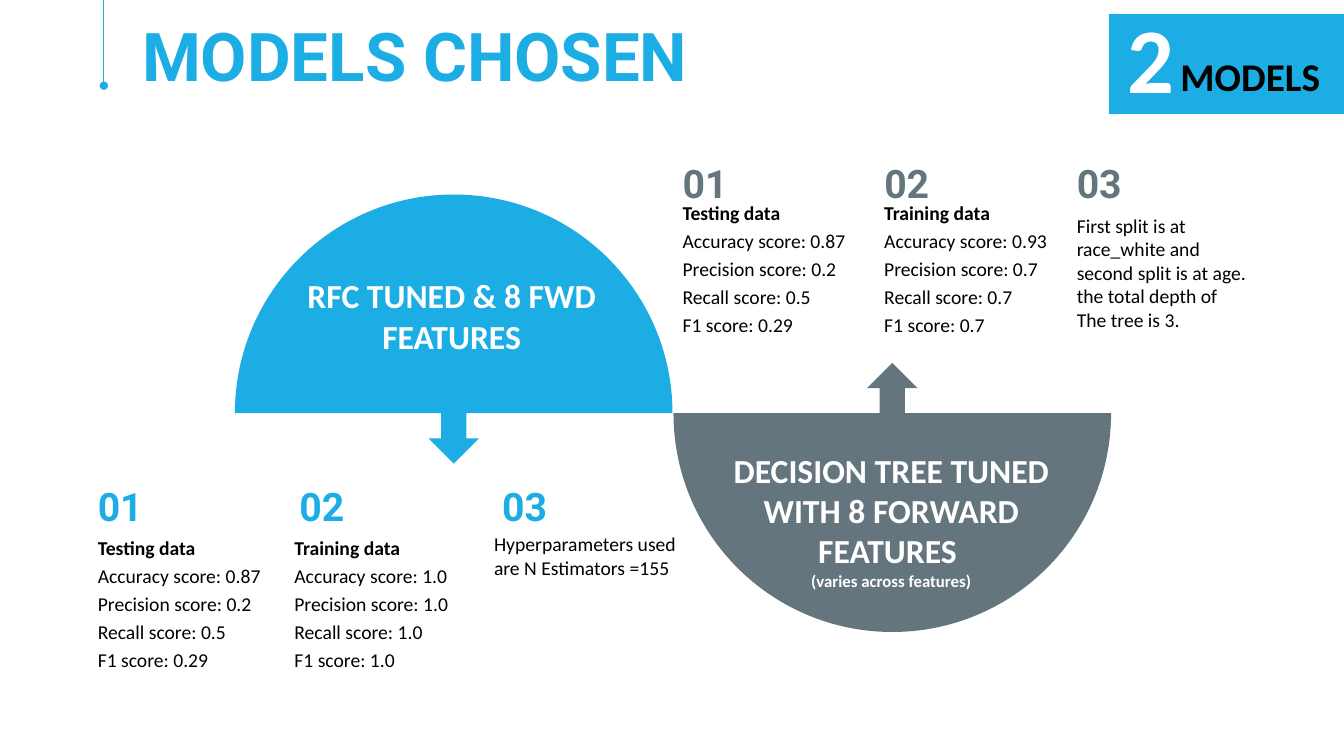
import pptx
import pptx.util
from lxml import etree
from pptx.dml.color import RGBColor
from pptx.enum.shapes import MSO_CONNECTOR, MSO_SHAPE
from pptx.enum.text import MSO_ANCHOR, MSO_AUTO_SIZE, PP_ALIGN
from pptx.oxml.ns import qn
from pptx.util import Inches

COLORS = {"blue": "1CADE4", "gray": "65757D", "white": "FFFFFF", "black": "000000"}

deck = pptx.Presentation()
deck.slide_width = Inches(13.33)
deck.slide_height = Inches(7.5)
slide = deck.slides.add_slide(deck.slide_layouts[6])


def add_text(text, left, top, width, height, size=14, color="black", font="Calibri",
             bold=False, align=PP_ALIGN.LEFT, anchor=MSO_ANCHOR.TOP, inset=True,
             spacing=None, after=None):
    """Add a text box with one paragraph per line of text; return its paragraphs."""
    box = slide.shapes.add_textbox(Inches(left), Inches(top), Inches(width), Inches(height))
    frame = box.text_frame
    frame.word_wrap = True
    frame.auto_size = MSO_AUTO_SIZE.SHAPE_TO_FIT_TEXT
    frame.vertical_anchor = anchor
    if not inset:
        frame.margin_left = frame.margin_right = frame.margin_top = frame.margin_bottom = 0
    frame.text = text
    for paragraph in frame.paragraphs:
        paragraph.alignment = align
        paragraph.line_spacing = spacing
        paragraph.space_after = after
        for run in paragraph.runs:
            run.font.size = pptx.util.Pt(size)
            run.font.name = font
            run.font.bold = bold
            run.font.color.rgb = RGBColor.from_string(COLORS[color])
    return frame.paragraphs


def paint(shape, color):
    shape.shadow.inherit = False
    shape.fill.solid()
    shape.fill.fore_color.rgb = RGBColor.from_string(COLORS[color])
    shape.line.fill.background()


# Half discs sharing a baseline, each with an arrow towards its results
BASELINE, RADIUS, ARROW = 4.1, 2.17, 0.5
HANDLE = 0.5523  # Bezier handle of a quarter circle with radius 1
QUARTERS = [(1, HANDLE), (HANDLE, 1), (0, 1), (-HANDLE, 1), (-1, HANDLE), (-1, 0)]
for center, direction, color in [(8.85, 1, "gray"), (4.5, -1, "blue")]:
    curve = [(Inches(center + RADIUS * x), Inches(BASELINE + direction * RADIUS * y))
             for x, y in QUARTERS]
    outline = slide.shapes.build_freeform(Inches(center + RADIUS), Inches(BASELINE))
    outline.add_line_segments(curve, close=True)
    half_disc = outline.convert_to_shape()
    # Every three segments become one cubic curve
    segments = list(half_disc._element.iter(qn("a:lnTo")))
    for first in (0, 3):
        quarter = etree.Element(qn("a:cubicBezTo"))
        segments[first].addprevious(quarter)
        for segment in segments[first:first + 3]:
            quarter.append(segment[0])
            segment.getparent().remove(segment)
    paint(half_disc, color)

    arrow_top = BASELINE if direction < 0 else BASELINE - ARROW
    arrow = slide.shapes.add_shape(MSO_SHAPE.DOWN_ARROW, Inches(center - ARROW / 2),
                                   Inches(arrow_top), Inches(ARROW), Inches(ARROW))
    arrow.rotation = 180 if direction > 0 else 0
    paint(arrow, color)

disc_label = {"size": 24, "color": "white", "bold": True, "align": PP_ALIGN.CENTER}
add_text("RFC TUNED & 8 FWD FEATURES", 2.63, 2.68, 3.7, 0.91, **disc_label)
tree_label = add_text("DECISION TREE TUNED WITH 8 FORWARD FEATURES \n(varies across features)",
                      6.99, 4.41, 3.7, 1.51, **disc_label)
tree_label[1].runs[0].font.size = pptx.util.Pt(12)

# Column numbers above the results
body = {"inset": False, "after": pptx.util.Pt(12)}
for top, color, lefts in [(1.58, "gray", (6.77, 8.77, 10.68)),
                          (4.78, "blue", (0.97, 2.97, 4.98))]:
    for number, left in enumerate(lefts, 1):
        add_text(f"{number:02}", left, top, 1.59, 0.47, size=28, color=color,
                 font="Roboto", bold=True, anchor=MSO_ANCHOR.MIDDLE, **body)

# Scores
METRICS = ("Accuracy", "Precision", "Recall", "F1")
for left, top, data, scores in [
    (6.77, 2.12, "Testing data", ("0.87", "0.2", "0.5", "0.29")),
    (8.77, 2.12, "Training data", ("0.93", "0.7", "0.7", "0.7")),
    (0.97, 5.44, "Testing data", ("0.87", "0.2", "0.5", "0.29")),
    (2.92, 5.44, "Training data", ("1.0", "1.0", "1.0", "1.0")),
]:
    lines = [data] + [f"{metric} score: {score}" for metric, score in zip(METRICS, scores)]
    score_lines = add_text("\n".join(lines), left, top, 1.7, 1.25,
                           spacing=pptx.util.Pt(8), **body)
    score_lines[0].runs[0].font.bold = True

add_text("First split is at race_white and second split is at age. "
         "the total depth of The tree is 3.", 10.68, 2.12, 1.7, 1.18, **body)
add_text("Hyperparameters used are N Estimators =155", 4.9, 5.28, 1.84, 0.47, **body)

# Title with its hanging line
add_text("MODELS CHOSEN", 1.41, 0.23, 9.2, 0.73, size=48, color="blue", font="Roboto",
         bold=True, inset=False, spacing=0.9)
title_line = slide.shapes.add_connector(MSO_CONNECTOR.STRAIGHT, Inches(1.03), Inches(0),
                                        Inches(1.03), Inches(0.85))
title_line.line.color.rgb = RGBColor.from_string(COLORS["blue"])
title_line.line.width = pptx.util.Pt(0.5)
etree.SubElement(title_line.line._get_or_add_ln(), qn("a:tailEnd"), type="oval")
etree.SubElement(title_line._element.spPr, qn("a:effectLst"))

# Model count
count_panel = slide.shapes.add_shape(MSO_SHAPE.RECTANGLE, Inches(11), Inches(0.14),
                                     Inches(2.34), Inches(0.99))
paint(count_panel, "blue")
add_text("2", 11.08, -0.04, 1.11, 1.21, size=66, color="white", bold=True)
add_text("MODELS", 11.61, 0.47, 1.91, 0.57, size=28, bold=True)

deck.save("out.pptx")
